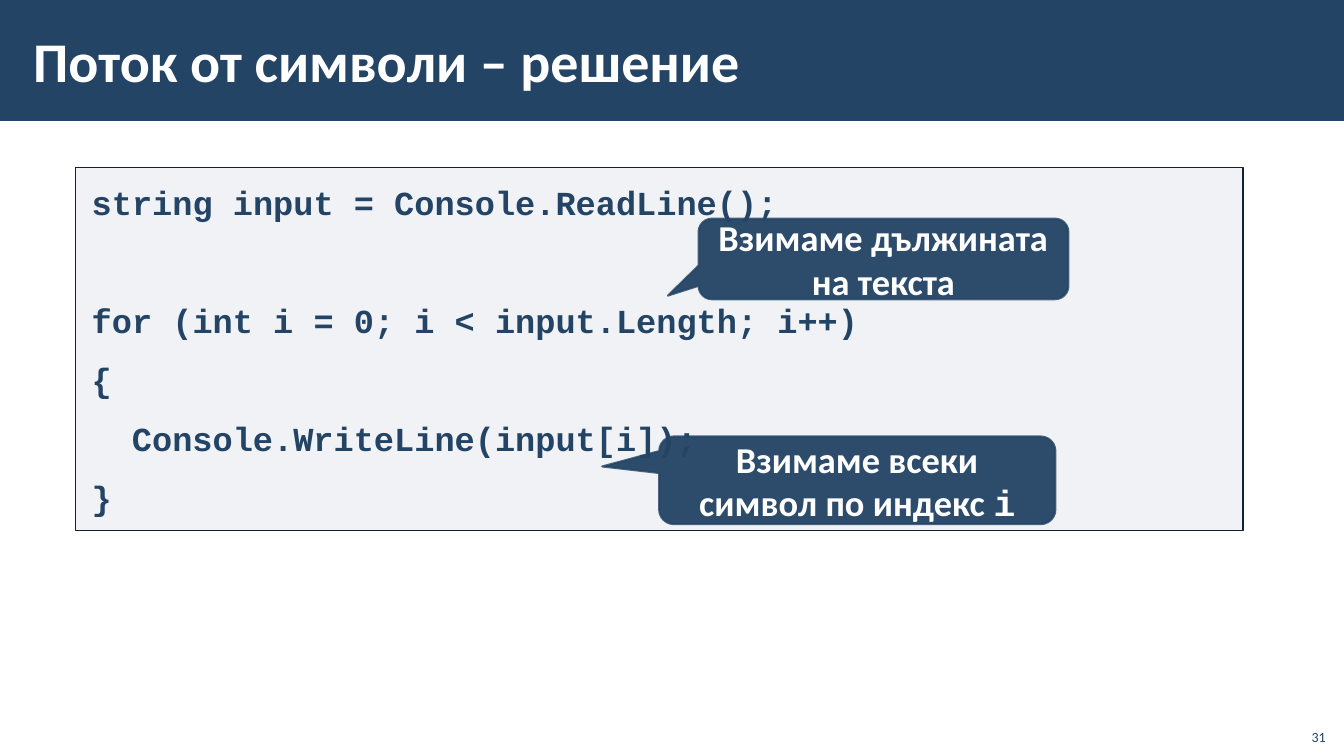
from lxml import etree
from pptx import Presentation
from pptx import util as u
from pptx.dml.color import RGBColor
from pptx.enum import shapes, text
from pptx.oxml.ns import qn

COLORS = {"navy": "234465", "panel": "A3ABBC", "border": "112233", "white": "FFFFFF"}
BODY_FONT, CODE_FONT = "Calibri", "Courier New"

TITLE = "Поток от символи – решение"
PAGE_NUMBER = "31"

# Code lines: text, indent in characters, extra empty lines above
CODE = [
    ("string input = Console.ReadLine();", 0, 0),
    ("for (int i = 0; i < input.Length; i++)", 0, 1),
    ("{", 0, 0),
    ("Console.WriteLine(input[i]);", 2, 0),
    ("}", 0, 0),
]
CODE_SIZE, CODE_GAP, CODE_PITCH = 24, 6, 42
CHAR_WIDTH = CODE_SIZE * 0.6

# Callouts: place, pointer, text runs with their fonts
CALLOUTS = [
    ((499, 156.2, 264.2, 57.6), (-0.583, 0.455),
     [("Взимаме дължината на текста", BODY_FONT)]),
    ((470.9, 311.8, 283, 62.6), (-0.644, -0.158),
     [("Взимаме всеки символ по индекс ", BODY_FONT), ("i", CODE_FONT)]),
]


def rgb(name):
    return RGBColor.from_string(COLORS[name])


def set_alpha(fill, percent):
    color = fill._xPr.find(qn("a:solidFill"))[0]
    etree.SubElement(color, qn("a:alpha"), val=str(percent * 1000))


def add_box(page, kind, place, fill, alpha=100, line=None, weight=1, line_alpha=100):
    box = page.shapes.add_shape(kind, *map(u.Pt, place))
    box.shadow.inherit = False
    box.fill.solid()
    box.fill.fore_color.rgb = rgb(fill)
    if alpha < 100:
        set_alpha(box.fill, alpha)
    if line:
        box.line.color.rgb = rgb(line)
        box.line.width = u.Pt(weight)
        if line_alpha < 100:
            set_alpha(box.line.fill, line_alpha)
    else:
        box.line.fill.background()
    return box


def set_frame(box, anchor, side=7.2, end=3.6):
    frame = box.text_frame
    frame.word_wrap = True
    frame.vertical_anchor = anchor
    frame.margin_left = frame.margin_right = u.Pt(side)
    frame.margin_top = frame.margin_bottom = u.Pt(end)
    return frame


def write(para, words, size, color, font=BODY_FONT, bold=True,
          align=text.PP_ALIGN.LEFT):
    para.alignment = align
    span = para.add_run()
    span.text = words
    span.font.size = u.Pt(size)
    span.font.name = font
    span.font.bold = bold
    span.font.color.rgb = rgb(color)


deck = Presentation()
deck.slide_width, deck.slide_height = u.Pt(960), u.Pt(540)
page = deck.slides.add_slide(deck.slide_layouts[6])
rectangle = shapes.MSO_SHAPE.RECTANGLE
middle = text.MSO_ANCHOR.MIDDLE

# Title bar
add_box(page, rectangle, (0, 0, 960, 86.4), "navy")

# Code panel
panel = add_box(page, rectangle, (54, 119.7, 834, 259.2), "panel", 15, "border")
frame = set_frame(panel, text.MSO_ANCHOR.TOP, 11.5, 8.6)
for row, (words, indent, empty) in enumerate(CODE):
    para = frame.paragraphs[0] if row == 0 else frame.add_paragraph()
    para.line_spacing = 1.05
    para.space_before = u.Pt(CODE_GAP + empty * CODE_PITCH)
    para.space_after = u.Pt(CODE_GAP)
    if indent:
        para._p.get_or_add_pPr().set("marL", str(u.Pt(indent * CHAR_WIDTH)))
    write(para, words, CODE_SIZE, "navy", CODE_FONT)

# Title
title = page.shapes.add_textbox(*map(u.Pt, (15.1, 7.9, 765.4, 69.8)))
write(set_frame(title, middle, 8.6, 2.9).paragraphs[0], TITLE, 40, "white")

# Callouts
for place, pointer, runs in CALLOUTS:
    callout = add_box(page, shapes.MSO_SHAPE.ROUNDED_RECTANGULAR_CALLOUT, place,
                      "navy", 95, "navy", 1.5, 80)
    for index, value in enumerate((*pointer, 0.167)):
        callout.adjustments[index] = value
    para = set_frame(callout, middle).paragraphs[0]
    for words, font in runs:
        write(para, words, 26, "white", font, align=text.PP_ALIGN.CENTER)

# Page number
number = page.shapes.add_textbox(*map(u.Pt, (925.2, 512.6, 28.8, 23)))
write(set_frame(number, text.MSO_ANCHOR.BOTTOM).paragraphs[0], PAGE_NUMBER, 10,
      "navy", bold=False, align=text.PP_ALIGN.RIGHT)

deck.save("out.pptx")
